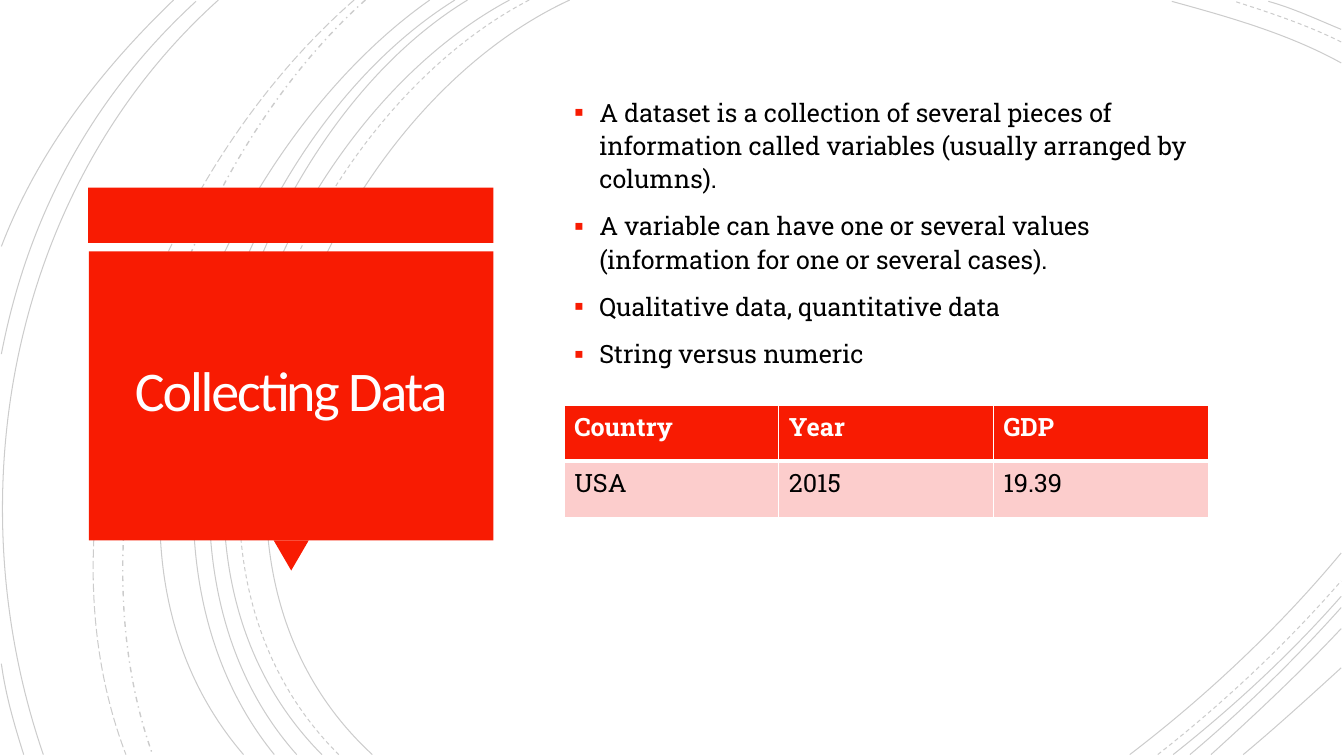
from lxml import etree
from pptx import Presentation
from pptx.dml.color import RGBColor
from pptx.enum import dml, shapes, text
from pptx.oxml import ns
from pptx.util import Pt

RED, PINK, WHITE, BLACK = "F81B02", "FCCDCC", "FFFFFF", "000000"
TITLE_FONT, BODY_FONT = "Calibri", "Roboto Slab"
SOLID, DASH = dml.MSO_LINE.SOLID, dml.MSO_LINE.DASH
DASH_DOT, LONG_DASH = dml.MSO_LINE.DASH_DOT, dml.MSO_LINE.LONG_DASH

# Each arc: dash style, then start, two control points and end.
ARCS = [
    # long arcs sweeping down the left half
    (SOLID, (407, 0), (227, 83), (103, 389), (266, 539)),
    (DASH, (378, 0), (205, 90), (89, 387), (242, 539)),
    (SOLID, (364, 0), (194, 91), (79, 387), (230, 539)),
    (SOLID, (334, 0), (176, 96), (79, 390), (212, 539)),
    (SOLID, (325, 0), (166, 99), (70, 384), (196, 539)),
    (SOLID, (307, 0), (156, 106), (38, 381), (174, 539)),
    (DASH_DOT, (261, 0), (127, 120), (47, 366), (109, 539)),
    (LONG_DASH, (253, 0), (113, 122), (21, 359), (90, 539)),
    (SOLID, (156, 0), (8, 133), (-33, 353), (31, 539)),
    # short arcs at the left edge
    (SOLID, (140, 1), (66, 69), (20, 154), (1, 253)),
    (SOLID, (1, 474), (4, 496), (10, 517), (17, 539)),
    (SOLID, (124, 0), (72, 50), (27, 108), (1, 176)),
    # top right corner
    (SOLID, (958, 45), (920, 24), (877, 12), (837, 1)),
    (DASH, (958, 30), (934, 18), (907, 9), (882, 1)),
    (SOLID, (958, 21), (941, 14), (924, 6), (906, 1)),
    # bottom right corner
    (SOLID, (807, 539), (862, 497), (914, 448), (958, 395)),
    (DASH, (827, 539), (873, 503), (918, 461), (958, 415)),
    (SOLID, (838, 539), (881, 505), (922, 467), (958, 426)),
    (SOLID, (850, 539), (888, 507), (924, 472), (958, 434)),
    (SOLID, (865, 539), (897, 510), (929, 480), (958, 449)),
    (SOLID, (888, 539), (912, 519), (935, 498), (958, 477)),
]

BULLETS = [
    "A dataset is a collection of several pieces of information called "
    "variables (usually arranged by columns).",
    "A variable can have one or several values "
    "(information for one or several cases).",
    "Qualitative data, quantitative data",
    "String versus numeric",
]

ROWS = [("Country", "Year", "GDP"), ("USA", "2015", "19.39")]


def color(value):
    """Turn a hex string into a colour."""
    return RGBColor.from_string(value)


def apply(target, **values):
    """Set attributes from a dict of format values."""
    for name, value in values.items():
        setattr(target, name, value)


def child(parent, tag, **attributes):
    """Append a DrawingML element."""
    return etree.SubElement(parent, ns.qn(f"a:{tag}"), attributes)


def write(para, words, size, font, ink, bold=False):
    """Add a formatted span to a paragraph."""
    span = para.add_run()
    span.text = words
    apply(span.font, size=Pt(size), name=font, bold=bold)
    span.font.color.rgb = color(ink)
    return span


def add_arc(page, dash, *points):
    """Draw one thin, faint cubic curve."""
    start, *rest = [(Pt(x), Pt(y)) for x, y in points]
    builder = page.shapes.build_freeform(*start)
    builder.add_line_segments(rest, close=False)
    arc = builder.convert_to_shape()
    arc.shadow.inherit = False
    arc.fill.background()
    arc.line.color.rgb = color(BLACK)
    apply(arc.line, width=Pt(1 if dash == DASH_DOT else 0.75), dash_style=dash)
    ink = arc.line._ln.find(".//" + ns.qn("a:srgbClr"))
    child(ink, "alpha", val="20000")

    outline = arc._element.xpath(".//a:path")[0]
    corners = outline.xpath(".//a:pt")
    for segment in outline.xpath("./a:lnTo"):
        outline.remove(segment)
    curve = child(outline, "cubicBezTo")
    for corner in corners[1:]:
        curve.append(corner)


def add_block(page, kind, left, top, width, height, rotation=0):
    """Add a plain red shape."""
    block = page.shapes.add_shape(kind, Pt(left), Pt(top), Pt(width), Pt(height))
    apply(block, rotation=rotation)
    block.shadow.inherit = False
    block.fill.solid()
    block.fill.fore_color.rgb = color(RED)
    block.line.fill.background()


def add_title(page, words):
    """Place the title on the red panel, in front of the other shapes."""
    title = page.shapes.title
    apply(title, left=Pt(70), top=Pt(184.5), width=Pt(276), height=Pt(194.5))
    frame = title.text_frame
    sides = ("left", "top", "right", "bottom")
    apply(frame, word_wrap=True, auto_size=text.MSO_AUTO_SIZE.NONE,
          vertical_anchor=text.MSO_ANCHOR.MIDDLE,
          **{f"margin_{side}": Pt(7.2) for side in sides})
    para = frame.paragraphs[0]
    apply(para, alignment=text.PP_ALIGN.CENTER, line_spacing=0.85)
    span = write(para, words, 40, TITLE_FONT, "FFFEFF")
    span._r.get_or_add_rPr().set("spc", "-150")
    page.shapes._spTree.append(title._element)


def add_bullets(page, lines):
    """Add the list with small square red bullets."""
    box = page.shapes.add_textbox(Pt(403), Pt(63.5), Pt(494), Pt(188))
    frame = box.text_frame
    frame.word_wrap = True
    for index, line in enumerate(lines):
        para = frame.add_paragraph() if index else frame.paragraphs[0]
        apply(para, line_spacing=1.1, space_before=Pt(10))
        props = para._p.get_or_add_pPr()
        props.set("marL", str(Pt(18)))
        props.set("indent", str(-Pt(18)))
        child(child(props, "buClr"), "srgbClr", val=RED)
        child(props, "buSzPct", val="110000")
        child(props, "buFont", typeface="Arial")
        child(props, "buChar", char="▪")
        write(para, line, 18, BODY_FONT, BLACK)


def add_border(cell, side, width):
    """Give one side of a cell a white line."""
    props = cell._tc.get_or_add_tcPr()
    line = child(props, f"ln{side}", w=str(Pt(width)))
    child(child(line, "solidFill"), "srgbClr", val=WHITE)


def add_data_table(page, rows):
    """Add the dataset table with a red heading row."""
    frame = page.shapes.add_table(len(rows), len(rows[0]),
                                  Pt(403), Pt(289.5), Pt(460), Pt(80))
    for r, row in enumerate(rows):
        heading = r == 0
        widths = dict(L=1, R=1, T=1 if heading else 3, B=3 if heading else 1)
        for c, words in enumerate(row):
            cell = frame.table.cell(r, c)
            for side, width in widths.items():
                add_border(cell, side, width)
            cell.fill.solid()
            cell.fill.fore_color.rgb = color(RED if heading else PINK)
            write(cell.text_frame.paragraphs[0], words, 18, BODY_FONT,
                  WHITE if heading else BLACK, bold=heading)


def main():
    """Build the slide and save it."""
    deck = Presentation()
    apply(deck, slide_width=Pt(960), slide_height=Pt(540))
    page = deck.slides.add_slide(deck.slide_layouts[5])
    for arc in ARCS:
        add_arc(page, *arc)
    kinds = shapes.MSO_SHAPE
    add_block(page, kinds.RECTANGLE, 63, 134, 289.5, 39.5)
    add_block(page, kinds.ISOSCELES_TRIANGLE, 195.5, 386, 25, 21.5, rotation=180)
    add_block(page, kinds.RECTANGLE, 63.5, 179.5, 289, 206.5)
    add_title(page, "Collecting Data")
    add_bullets(page, BULLETS)
    add_data_table(page, ROWS)
    deck.save("out.pptx")


main()
